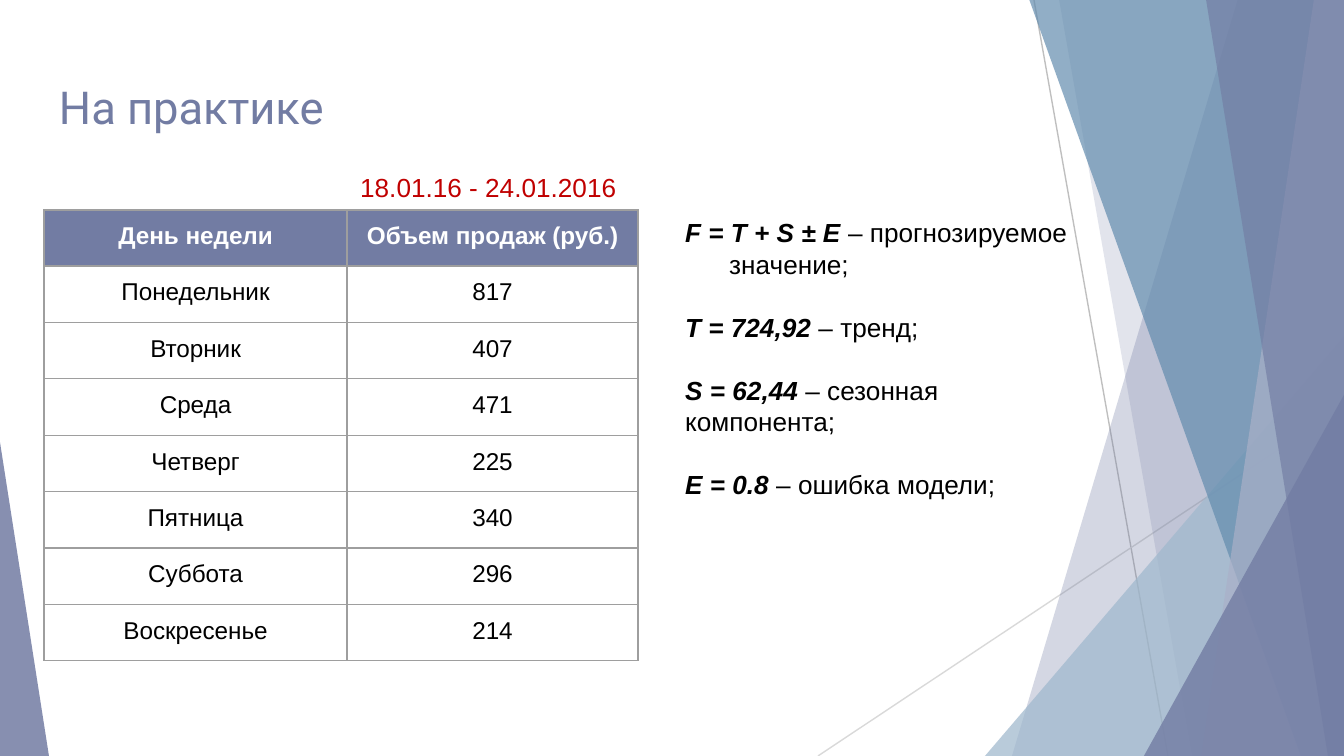
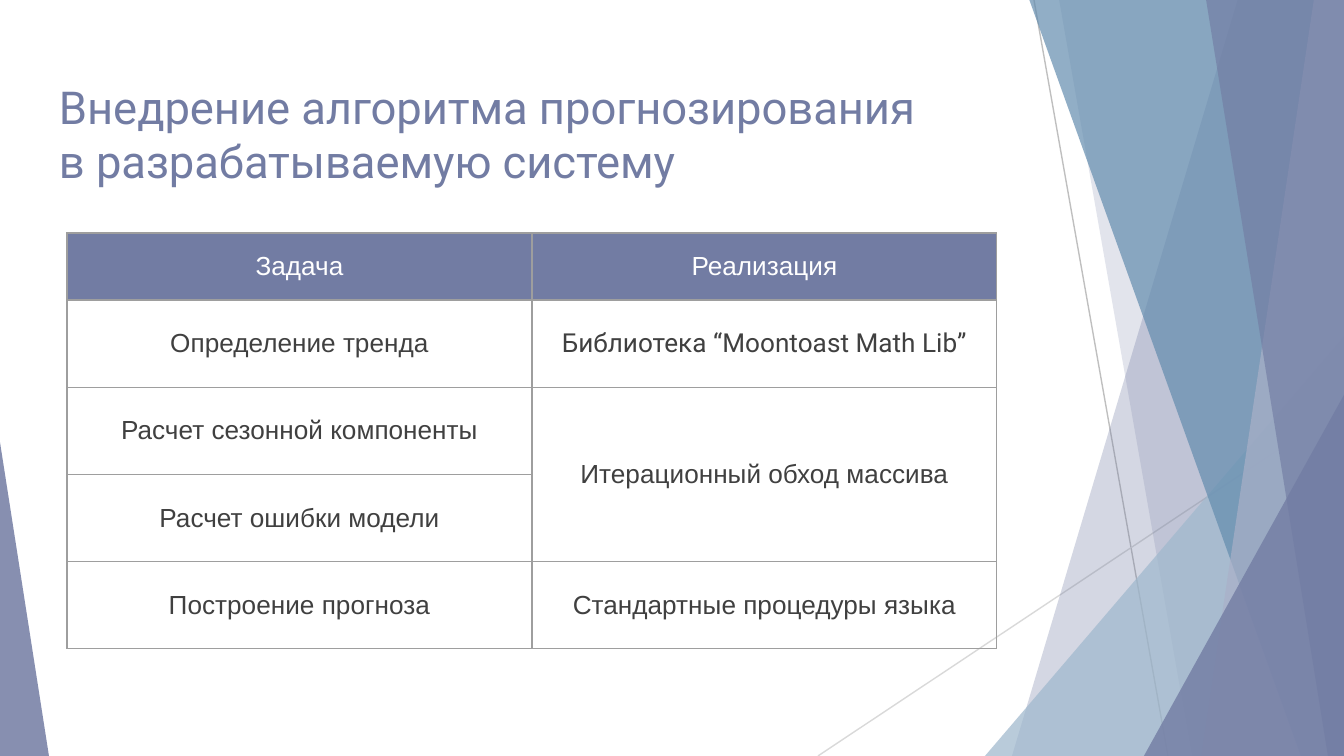
import lxml.etree
import pptx
import pptx.dml.color
import pptx.enum.shapes
import pptx.enum.text
import pptx.oxml.ns
import pptx.util

PX = 914400 / 134.4
WIDTH, HEIGHT = 1344, 756
ACCENT, WHITE, BLACK, DARK = "727CA3", "FFFFFF", "000000", "404040"
GRID = "9E9E9E"
BODY_FONT, TITLE_FONT = "Arial", "Roboto"
TRIANGLE = pptx.enum.shapes.MSO_SHAPE.ISOSCELES_TRIANGLE
TOP = pptx.enum.text.MSO_ANCHOR.TOP
MIDDLE = pptx.enum.text.MSO_ANCHOR.MIDDLE
LEFT = pptx.enum.text.PP_ALIGN.LEFT
CENTER = pptx.enum.text.PP_ALIGN.CENTER


def px(length):
    """Turn a length in px into EMU."""
    return pptx.util.Emu(round(length * PX))


def color(code):
    """Turn a hex string into a colour."""
    return pptx.dml.color.RGBColor.from_string(code)


def add_xml(parent, tag, **attributes):
    """Append a DrawingML element and return it."""
    return lxml.etree.SubElement(parent, pptx.oxml.ns.qn(tag), attributes)


def style_font(font, size, code, name=BODY_FONT, bold=False):
    """Set the look of a font."""
    font.name, font.size, font.bold = name, pptx.util.Pt(size), bold
    font.color.rgb = color(code)


def tint(shape, code, opacity):
    """Fill a shape with a see-through colour and drop its outline."""
    shape.shadow.inherit = False
    shape.fill.solid()
    shape.fill.fore_color.rgb = color(code)
    shape.line.fill.background()
    fill = shape.element.spPr.find(".//" + pptx.oxml.ns.qn("a:srgbClr"))
    add_xml(fill, "a:alpha", val=str(opacity * 1000))
    return shape


def add_ray(page, start, end, code):
    """Draw a thin straight line."""
    ray = page.shapes.add_connector(
        pptx.enum.shapes.MSO_CONNECTOR.STRAIGHT, *map(px, start + end))
    ray.line.color.rgb = color(code)
    ray.line.width = pptx.util.Pt(0.75)
    add_xml(ray.element.spPr, "a:effectLst")
    return ray


def add_facet(page, top, bottom, code, opacity):
    """Draw a full-height band from a slanted left edge to the right side."""
    outline = page.shapes.build_freeform(top, -1, scale=PX)
    outline.add_line_segments(
        [(WIDTH, -1), (WIDTH, HEIGHT), (bottom, HEIGHT)], close=True)
    return tint(outline.convert_to_shape(), code, opacity)


def add_corner(page, left, top, right, apex, code, opacity):
    """Draw a triangle that stands on the bottom edge of the slide."""
    corner = page.shapes.add_shape(
        TRIANGLE, px(left), px(top), px(right - left), px(HEIGHT - top))
    corner.adjustments[0] = apex
    return tint(corner, code, opacity)


def move_backdrop(page):
    """Draw the backdrop and move it to the layout that the slides share."""
    backdrop = [
        add_ray(page, (1034, 0), (1168, HEIGHT), "BFBFBF"),
        add_ray(page, (WIDTH, 406), (818, HEIGHT), "D9D9D9"),
        add_facet(page, 1238, 1012, ACCENT, 30),
        add_facet(page, 1059, 1192, ACCENT, 20),
        add_corner(page, 985, 336, WIDTH, 1, "9FB8CD", 72),
        add_facet(page, 1029, 1301, "638CAE", 70),
        add_facet(page, 1314, 1201, "AAB0C8", 70),
        add_facet(page, 1206, 1328, ACCENT, 65),
        add_corner(page, 1144, 395, WIDTH, 1, ACCENT, 80),
        add_corner(page, 0, 442, 49, 0, ACCENT, 85),
    ]
    for shape in backdrop:
        page.slide_layout.shapes.element.append(shape.element)


def set_title(page, text, height):
    """Place and format the title."""
    title = page.shapes.title
    title.left, title.top = px(46), px(66)
    title.width, title.height = px(1253), px(height)
    frame = title.text_frame
    frame.text = text
    frame.vertical_anchor = TOP
    frame.auto_size = pptx.enum.text.MSO_AUTO_SIZE.NONE
    frame.margin_left = frame.margin_right = px(13)
    frame.margin_top = frame.margin_bottom = px(13)
    para = frame.paragraphs[0]
    para.alignment = LEFT
    style_font(para.font, 24.3, ACCENT, TITLE_FONT)


def style_cell(cell, text, size, code, bold, fill, margin, anchor):
    """Write a table cell and draw its borders and fill."""
    cell.text = text
    cell.vertical_anchor = anchor
    cell.margin_left = cell.margin_right = px(13)
    cell.margin_top = cell.margin_bottom = px(margin)
    para = cell.text_frame.paragraphs[0]
    para.alignment = CENTER
    style_font(para.font, size, code, bold=bold)
    properties = cell._tc.get_or_add_tcPr()
    for side in ("a:lnL", "a:lnR", "a:lnT", "a:lnB"):
        border = add_xml(properties, side, w=str(pptx.util.Pt(0.75)))
        add_xml(add_xml(border, "a:solidFill"), "a:srgbClr", val=GRID)
    if fill:
        cell.fill.solid()
        cell.fill.fore_color.rgb = color(fill)
    else:
        cell.fill.background()


def add_grid(page, left, top, columns, header, height, rows, size, code,
             bold_header, margin, anchor):
    """Add a table with a coloured header and equal rows below it."""
    grid = page.shapes.add_table(
        len(rows), len(columns), px(left), px(top),
        px(sum(columns)), px(height)).table
    grid.first_row = grid.horz_banding = False
    for column, width in zip(grid.columns, columns):
        column.width = px(width)
    for index, values in enumerate(rows):
        first = index == 0
        grid.rows[index].height = px(
            header if first else (height - header) / (len(rows) - 1))
        for place, text in enumerate(values):
            style_cell(grid.cell(index, place), text, size,
                       WHITE if first else code, first and bold_header,
                       ACCENT if first else None, margin, anchor)
    return grid


def add_text(page, left, top, width, height):
    """Add a wrapping text box and return its frame."""
    box = page.shapes.add_textbox(px(left), px(top), px(width), px(height))
    box.text_frame.word_wrap = True
    return box.text_frame


def add_formulas(page, formulas):
    """List formulas in bold italics, each with its meaning."""
    frame = add_text(page, 672, 210, 432, 267)
    for index, (formula, meaning, hanging) in enumerate(formulas):
        para = frame.add_paragraph() if index else frame.paragraphs[0]
        para.space_before = pptx.util.Pt(17 if index else 0)
        style_font(para.font, 14, BLACK)
        properties = para._p.get_or_add_pPr()
        properties.set("marL", str(px(hanging)))
        properties.set("indent", str(px(-hanging)))
        span = para.add_run()
        span.text = formula
        span.font.bold = span.font.italic = True
        para.add_run().text = " – " + meaning


def build_practice(page):
    """Show the sales of one week and the forecast formula."""
    set_title(page, "На практике", 85)
    sales = [
        ("День недели", "Объем продаж (руб.)"),
        ("Понедельник", "817"), ("Вторник", "407"), ("Среда", "471"),
        ("Четверг", "225"), ("Пятница", "340"), ("Суббота", "296"),
        ("Воскресенье", "214"),
    ]
    add_grid(page, 44, 210, (303, 291), 56, 451, sales, 13, BLACK,
             True, 13, TOP)
    week = add_text(page, 347, 165, 292, 46)
    week.text = "18.01.16 - 24.01.2016"
    style_font(week.paragraphs[0].font, 14, "C00000")
    add_formulas(page, [
        ("F = T + S ± E", "прогнозируемое значение;", 44),
        ("Т = 724,92", "тренд;", 0),
        ("S = 62,44", "сезонная компонента;", 0),
        ("Е = 0.8", "ошибка модели;", 0),
    ])


def build_adoption(page):
    """Show how each forecasting task is implemented."""
    set_title(page, "Внедрение алгоритма прогнозирования\v"
                    "в разрабатываемую систему", 133)
    tasks = [
        ("Задача", "Реализация"),
        ("Определение тренда", "Библиотека “Moontoast Math Lib”"),
        ("Расчет сезонной компоненты", "Итерационный обход массива"),
        ("Расчет ошибки модели", ""),
        ("Построение прогноза", "Стандартные процедуры языка"),
    ]
    grid = add_grid(page, 67, 233, (465, 465), 67, 416, tasks, 14, DARK,
                    False, 7, MIDDLE)
    grid.cell(2, 1).merge(grid.cell(3, 1))
    grid.cell(1, 1).text_frame.paragraphs[0].font.name = TITLE_FONT


def main():
    """Build and save the deck."""
    deck = pptx.Presentation()
    deck.slide_width, deck.slide_height = px(WIDTH), px(HEIGHT)
    layout = deck.slide_layouts.get_by_name("Title Only")
    practice, adoption = (deck.slides.add_slide(layout) for _ in range(2))
    move_backdrop(practice)
    build_practice(practice)
    build_adoption(adoption)
    deck.save("out.pptx")


if __name__ == "__main__":
    main()
